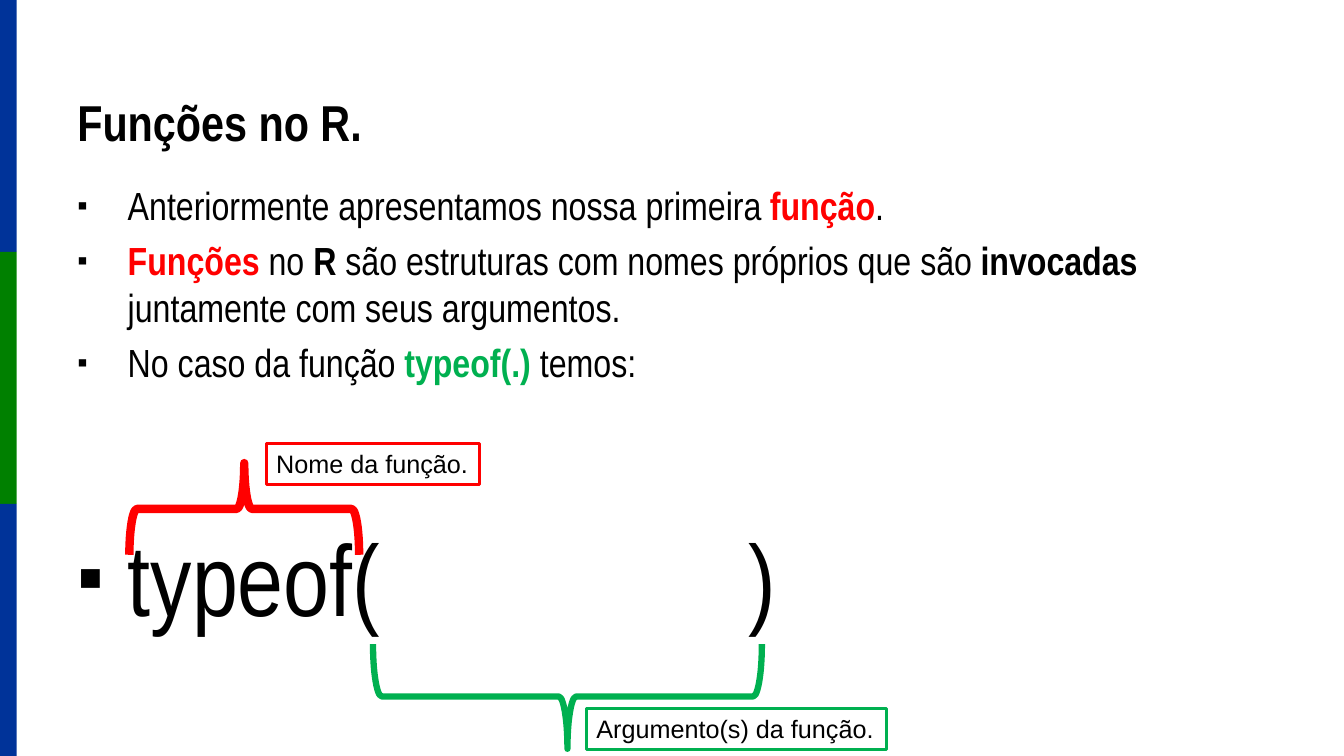
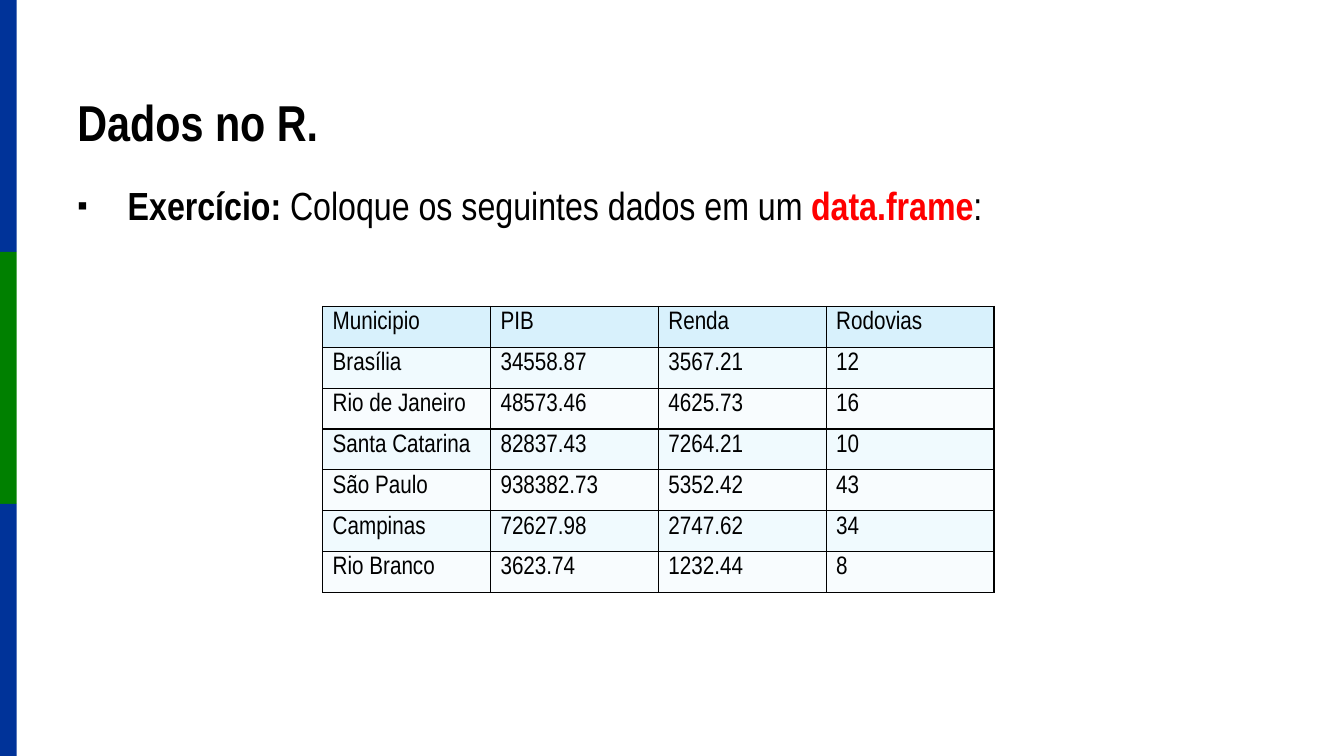
from lxml import etree
from pptx import Presentation
from pptx.dml.color import RGBColor
from pptx.enum.shapes import MSO_SHAPE
from pptx.enum.text import MSO_ANCHOR, MSO_AUTO_SIZE
from pptx.oxml.ns import qn
from pptx.util import Cm, Pt

RECTANGLE = MSO_SHAPE.RECTANGLE
LEFT_BRACE, RIGHT_BRACE = MSO_SHAPE.LEFT_BRACE, MSO_SHAPE.RIGHT_BRACE
TOP, BOTTOM = MSO_ANCHOR.TOP, MSO_ANCHOR.BOTTOM
GROW = MSO_AUTO_SIZE.SHAPE_TO_FIT_TEXT

BLACK, WHITE, RED, GREEN = "000000", "FFFFFF", "FF0000", "00B050"
BAND_COLORS = ["003399", "008000", "003399"]
HEADER_FILL, ROW_FILLS = "D8F1FC", ["F0FAFE", "F8FCFE"]
NARROW, PLAIN = "Arial Narrow", "Arial"
BODY_SIZE, CODE_SIZE = 28, 72

MUNICIPALITIES = [
    ["Municipio", "PIB", "Renda", "Rodovias"],
    ["Brasília", "34558.87", "3567.21", "12"],
    ["Rio de Janeiro", "48573.46", "4625.73", "16"],
    ["Santa Catarina", "82837.43", "7264.21", "10"],
    ["São Paulo", "938382.73", "5352.42", "43"],
    ["Campinas", "72627.98", "2747.62", "34"],
    ["Rio Branco", "3623.74", "1232.44", "8"],
]


def rgb(color):
    return RGBColor.from_string(color)


def add_child(parent, tag, **attributes):
    return etree.SubElement(parent, qn(tag), attributes)


def set_font(font, size, name=NARROW, bold=False):
    font.name, font.size, font.bold = name, Pt(size), bold
    font.color.rgb = rgb(BLACK)


def add_bullet(para):
    """Give the paragraph a hanging square bullet."""
    properties = para._p.get_or_add_pPr()
    properties.set("marL", str(Cm(1.27)))
    properties.set("indent", str(Cm(-1.27)))
    add_child(add_child(properties, "a:buClr"), "a:srgbClr", val=BLACK)
    add_child(properties, "a:buSzPct", val="75000")
    add_child(properties, "a:buFont", typeface=PLAIN)
    add_child(properties, "a:buChar", char="▪")


def add_borders(cell):
    properties = cell._tc.get_or_add_tcPr()
    for side in ("a:lnL", "a:lnR", "a:lnT", "a:lnB"):
        line = add_child(properties, side, w=str(Pt(1)))
        add_child(add_child(line, "a:solidFill"), "a:srgbClr", val=BLACK)


class CourseDeck:
    def __init__(self):
        self.deck = Presentation()
        self.deck.slide_width, self.deck.slide_height = Cm(33.87), Cm(19.05)
        self.shapes = None

    def start_slide(self, title):
        slide = self.deck.slides.add_slide(self.deck.slide_layouts[6])
        self.shapes = slide.shapes
        for index, color in enumerate(BAND_COLORS):
            self.band(index * 6.35, color)
        self.text(title, 1.7, 0.76, 24.3, 3.18, 36, bold=True, anchor=BOTTOM)

    def band(self, top, color):
        band = self.shapes.add_shape(RECTANGLE, 0, Cm(top), Cm(0.42), Cm(6.35))
        band.shadow.inherit = False
        band.fill.solid()
        band.fill.fore_color.rgb = rgb(color)
        band.line.fill.background()

    def text(self, words, left, top, width, height, size,
             name=NARROW, bold=False, anchor=TOP):
        box = self.shapes.add_textbox(Cm(left), Cm(top), Cm(width), Cm(height))
        frame = box.text_frame
        frame.word_wrap, frame.vertical_anchor = True, anchor
        para = frame.paragraphs[0]
        set_font(para.font, size, name, bold)
        para.add_run().text = words
        return box

    def body(self, items):
        """Each item is (size, space before, spans); a span is text, or (text, colour) in bold."""
        box = self.shapes.add_textbox(Cm(1.7), Cm(4.45), Cm(30.48), Cm(12.57))
        frame = box.text_frame
        frame.word_wrap = True
        for index, (size, space, spans) in enumerate(items):
            para = frame.add_paragraph() if index else frame.paragraphs[0]
            add_bullet(para)
            para.space_before = Pt(space)
            set_font(para.font, size)
            for span in spans:
                run = para.add_run()
                if isinstance(span, str):
                    run.text = span
                else:
                    run.text, color = span
                    run.font.bold = True
                    run.font.color.rgb = rgb(color)

    def brace(self, kind, left, top, width, height, color, weight):
        brace = self.shapes.add_shape(kind, Cm(left), Cm(top), Cm(width), Cm(height))
        brace.rotation = 90
        brace.shadow.inherit = False
        brace.fill.background()
        brace.line.color.rgb = rgb(color)
        brace.line.width = Pt(weight)

    def label(self, words, left, top, width, color):
        box = self.text(words, left, top, width, 1.02, 18, PLAIN)
        box.text_frame.word_wrap = False
        box.text_frame.auto_size = GROW
        box.fill.solid()
        box.fill.fore_color.rgb = rgb(WHITE)
        box.line.color.rgb = rgb(color)
        box.line.width = Pt(2.25)

    def table(self, rows, left, top, column_width, row_height):
        row_count, column_count = len(rows), len(rows[0])
        table = self.shapes.add_table(
            row_count, column_count, Cm(left), Cm(top),
            Cm(column_width * column_count), Cm(row_height * row_count)).table
        table.first_row = table.horz_banding = False
        for row_index, values in enumerate(rows):
            fill = ROW_FILLS[(row_index - 1) % 2] if row_index else HEADER_FILL
            for column_index, value in enumerate(values):
                cell = table.cell(row_index, column_index)
                add_borders(cell)
                cell.fill.solid()
                cell.fill.fore_color.rgb = rgb(fill)
                para = cell.text_frame.paragraphs[0]
                set_font(para.font, 18)
                para.add_run().text = value


def functions_slide(course):
    course.start_slide("Funções no R.")
    course.body([
        (BODY_SIZE, 5.6, ["Anteriormente apresentamos nossa primeira ", ("função", RED), "."]),
        (BODY_SIZE, 5.6, [("Funções ", RED), "no ", ("R", BLACK),
                          " são estruturas com nomes próprios que são ",
                          ("invocadas", BLACK), " juntamente com seus argumentos."]),
        (BODY_SIZE, 5.6, ["No caso da função ", ("typeof(.) ", GREEN), "temos:"]),
        (CODE_SIZE, 93, ["typeof("]),
    ])
    course.text(")", 18.62, 12.86, 1.5, 3.3, CODE_SIZE)
    course.brace(LEFT_BRACE, 5, 9.93, 2.31, 5.79, RED, 6)
    course.label("Nome da função.", 6.71, 11.18, 5.38, RED)
    course.brace(RIGHT_BRACE, 12.98, 12.65, 2.64, 9.8, GREEN, 4.5)
    course.label("Argumento(s) da função.", 14.78, 17.86, 7.57, GREEN)


def data_slide(course):
    course.start_slide("Dados no R.")
    course.body([(BODY_SIZE, 5.6, [("Exercício: ", BLACK), "Coloque os seguintes dados em um ",
                                   ("data.frame", RED), ":"])])
    course.table(MUNICIPALITIES, 8.13, 7.72, 4.23, 1.03)


def main():
    course = CourseDeck()
    functions_slide(course)
    data_slide(course)
    course.deck.save("out.pptx")


if __name__ == "__main__":
    main()
